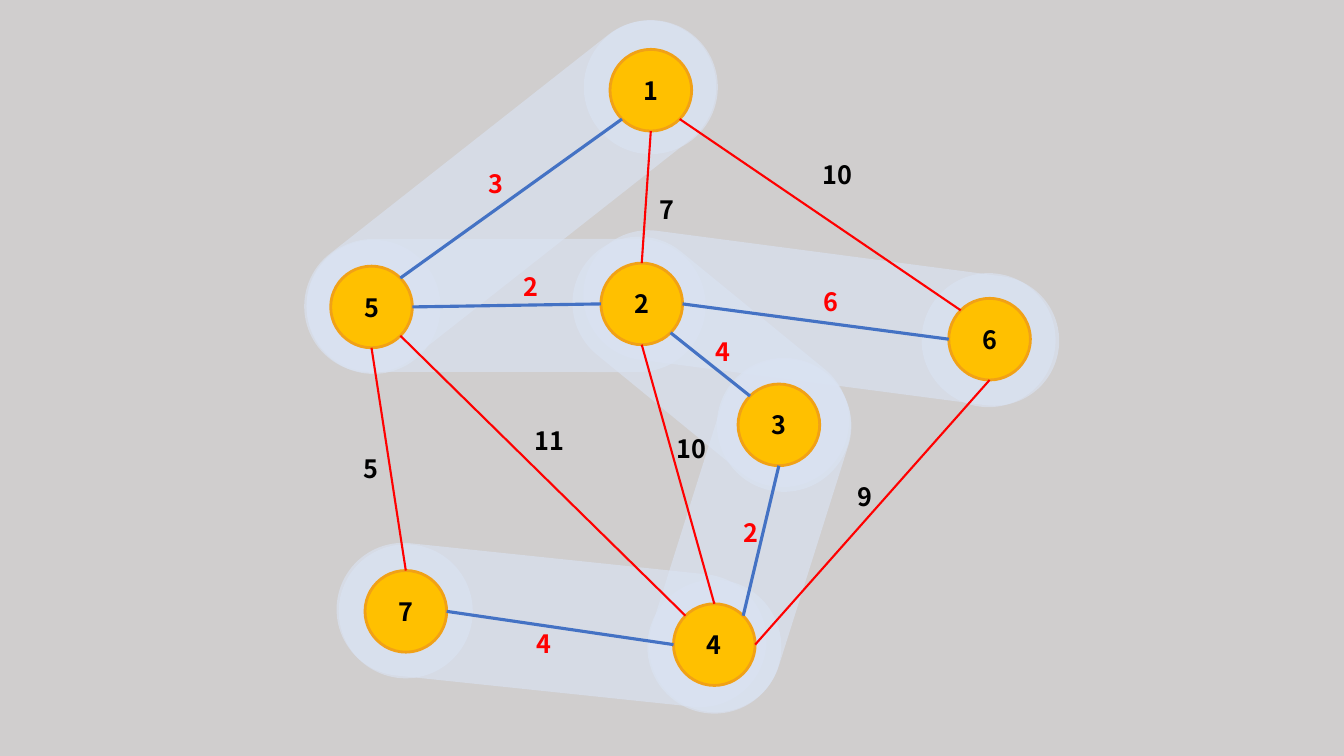
"""Build a slide showing a weighted graph with its minimum spanning tree highlighted."""
import math

from lxml import etree
from pptx import Presentation
from pptx.dml.color import RGBColor
from pptx.enum.shapes import MSO_CONNECTOR, MSO_SHAPE
from pptx.enum.text import MSO_ANCHOR, MSO_AUTO_SIZE, PP_ALIGN
from pptx.oxml.ns import qn
from pptx.util import Inches, Pt

ELLIPSE, CAPSULE = MSO_SHAPE.OVAL, MSO_SHAPE.ROUNDED_RECTANGLE
STRAIGHT = MSO_CONNECTOR.STRAIGHT
MIDDLE, CENTER = MSO_ANCHOR.MIDDLE, PP_ALIGN.CENTER
FIT_SHAPE = MSO_AUTO_SIZE.SHAPE_TO_FIT_TEXT

GREY = RGBColor(0xD0, 0xCE, 0xCE)
PALE_BLUE = RGBColor(0xDA, 0xE3, 0xF3)
AMBER = RGBColor(0xFF, 0xC0, 0x00)
ORANGE = RGBColor(0xF1, 0xA1, 0x16)
BLUE = RGBColor(0x44, 0x72, 0xC4)
RED = RGBColor(0xFF, 0x00, 0x00)
BLACK = RGBColor(0x00, 0x00, 0x00)

FONT_FORMAT = {"name": "Noto Sans CJK KR", "size": Pt(18), "bold": True}
NODE_FRAME = {"vertical_anchor": MIDDLE}
LABEL_FRAME = {"word_wrap": False, "auto_size": FIT_SHAPE}

NODE_SIZE = 0.81
HALO_SIZE = 1.33
HALO_OPACITY = 63
LABEL_HEIGHT = 0.4
LABEL_WIDTHS = {1: 0.35, 2: 0.5}

DIAGONAL = math.sqrt(0.5)
SIDES = {
    "N": (0, -1), "E": (1, 0), "S": (0, 1), "W": (-1, 0),
    "NE": (DIAGONAL, -DIAGONAL), "SE": (DIAGONAL, DIAGONAL),
    "SW": (-DIAGONAL, DIAGONAL), "NW": (-DIAGONAL, -DIAGONAL),
}

HALOS = [
    ((7.5, 0.78, 1.29, 4.75), 97.5, (9.14, 2.71)),
    ((4.81, 4.06, 1.32, 4.28), 276, (3.36, 5.4)),
    ((6.78, 3.51, 1.32, 3.61), 17.5, (6.42, 5.75)),
    ((6.39, 2.01, 1.32, 3.16), 309.3, (7.11, 3.55)),
    ((4.4, -0.47, 1.32, 4.84), 231.8, (5.79, 0.2)),
    ((4.36, 1.05, 1.32, 3.96), 270, (3.04, 2.38)),
]

NODE_CORNERS = {
    1: (6.05, 0.49), 6: (9.41, 2.96), 5: (3.28, 2.64), 4: (6.68, 5.99),
    7: (3.62, 5.66), 3: (7.32, 3.81), 2: (5.96, 2.61),
}

EDGES = [
    (1, "SE", 6, "NW", 10, (8.06, 1.53), False),
    (5, "NE", 1, "SW", 3, (4.75, 1.62), True),
    (2, "E", 6, "W", 6, (8.07, 2.79), True),
    (3, "S", 4, "NE", 2, (7.28, 5.08), True),
    (4, "E", 6, "S", 9, (8.41, 4.73), False),
    (2, "SE", 3, "NW", 4, (7, 3.29), True),
    (5, "S", 7, "N", 5, (3.51, 4.45), False),
    (1, "S", 2, "N", 7, (6.44, 1.88), False),
    (5, "E", 2, "W", 2, (5.09, 2.64), True),
    (2, "S", 4, "N", 10, (6.61, 4.25), False),
    (7, "E", 4, "W", 4, (5.22, 6.18), True),
    (5, "SE", 4, "NW", 11, (5.2, 4.17), False),
]


def apply_format(target, values):
    """Set every attribute in values on target."""
    for name, value in values.items():
        setattr(target, name, value)


def write_text(frame, text, color, frame_format):
    """Write one formatted run and return its paragraph."""
    apply_format(frame, frame_format)
    paragraph = frame.paragraphs[0]
    run = paragraph.add_run()
    run.text = str(text)
    apply_format(run.font, FONT_FORMAT)
    run.font.color.rgb = color
    return paragraph


def add_filled(slide, kind, box, color):
    """Add a solid preset shape without a shadow."""
    shape = slide.shapes.add_shape(kind, *map(Inches, box))
    shape.shadow.inherit = False
    shape.fill.solid()
    shape.fill.fore_color.rgb = color
    return shape


def add_halo(slide, kind, box, rotation=0):
    """Add a translucent, borderless highlight."""
    halo = add_filled(slide, kind, box, PALE_BLUE)
    halo.line.fill.background()
    halo.rotation = rotation
    if kind == CAPSULE:
        halo.adjustments[0] = 0.5
    fill_color = halo._element.spPr.find(f"{qn('a:solidFill')}/{qn('a:srgbClr')}")
    etree.SubElement(fill_color, qn("a:alpha"), val=str(HALO_OPACITY * 1000))


def add_node(slide, number, corner):
    """Add a numbered graph node."""
    node = add_filled(slide, ELLIPSE, (*corner, NODE_SIZE, NODE_SIZE), AMBER)
    node.line.color.rgb = ORANGE
    node.line.width = Pt(2)
    write_text(node.text_frame, number, BLACK, NODE_FRAME).alignment = CENTER


def node_point(number, side):
    """Return the point on a node's rim at a compass side."""
    return [Inches(corner + NODE_SIZE / 2 * (1 + step))
            for corner, step in zip(NODE_CORNERS[number], SIDES[side])]


def add_edge(slide, start, end, in_tree):
    """Draw an edge, with tree edges heavier and blue."""
    edge = slide.shapes.add_connector(STRAIGHT, *start, *end)
    edge.line.color.rgb = BLUE if in_tree else RED
    edge.line.width = Pt(2.25 if in_tree else 1.5)
    etree.SubElement(edge._element.spPr, qn("a:effectLst"))


def add_weight(slide, weight, corner, in_tree):
    """Label an edge with its weight, red for tree edges."""
    size = LABEL_WIDTHS[len(str(weight))], LABEL_HEIGHT
    label = slide.shapes.add_textbox(*map(Inches, (*corner, *size)))
    write_text(label.text_frame, weight, RED if in_tree else BLACK, LABEL_FRAME)


def main():
    """Build and save the graph slide."""
    deck = Presentation()
    apply_format(deck, {"slide_width": Inches(13.33), "slide_height": Inches(7.5)})
    slide = deck.slides.add_slide(deck.slide_layouts[6])
    slide.background.fill.solid()
    slide.background.fill.fore_color.rgb = GREY

    for capsule_box, rotation, circle_corner in HALOS:
        add_halo(slide, CAPSULE, capsule_box, rotation)
        add_halo(slide, ELLIPSE, (*circle_corner, HALO_SIZE, HALO_SIZE))
    for number, corner in NODE_CORNERS.items():
        add_node(slide, number, corner)
    for start, start_side, end, end_side, _, _, in_tree in EDGES:
        add_edge(slide, node_point(start, start_side), node_point(end, end_side), in_tree)
    for *_, weight, corner, in_tree in EDGES:
        add_weight(slide, weight, corner, in_tree)

    deck.save("out.pptx")


if __name__ == "__main__":
    main()
